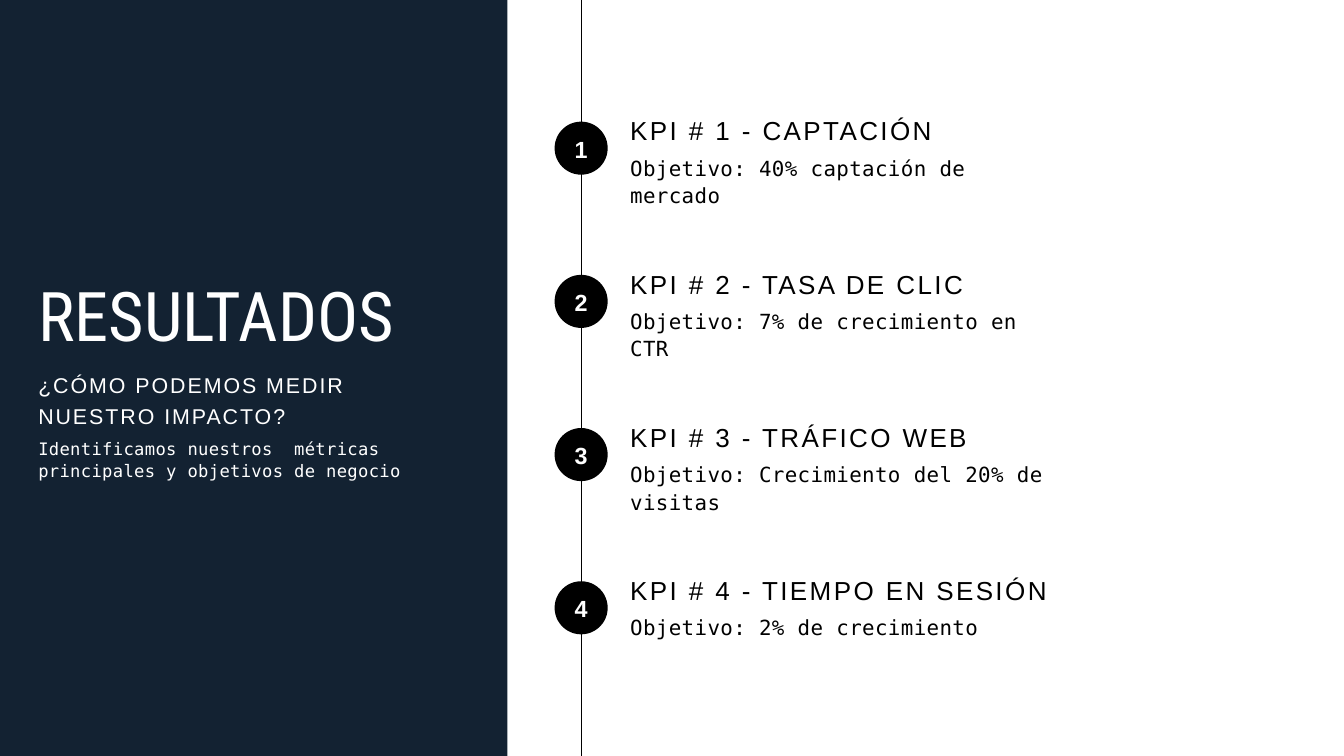
"""Build the results slide: a dark title panel beside a timeline of four KPIs."""
from lxml import etree
from pptx import Presentation
from pptx.dml.color import RGBColor
from pptx.enum.shapes import MSO_CONNECTOR, MSO_SHAPE
from pptx.enum.text import MSO_ANCHOR, MSO_AUTO_SIZE, PP_ALIGN
from pptx.oxml.ns import qn
from pptx.util import Pt

STRAIGHT = MSO_CONNECTOR.STRAIGHT
RECTANGLE, OVAL = MSO_SHAPE.RECTANGLE, MSO_SHAPE.OVAL
TOP, MIDDLE = MSO_ANCHOR.TOP, MSO_ANCHOR.MIDDLE
LEFT, CENTER = PP_ALIGN.LEFT, PP_ALIGN.CENTER
FIXED, GROW = MSO_AUTO_SIZE.NONE, MSO_AUTO_SIZE.SHAPE_TO_FIT_TEXT

TITLE = "RESULTADOS"
QUESTION = "¿CÓMO PODEMOS MEDIR NUESTRO IMPACTO?"
SUMMARY = "Identificamos nuestros  métricas principales y objetivos de negocio"
KPIS = [
    ("KPI # 1 - CAPTACIÓN", "Objetivo: 40% captación de mercado"),
    ("KPI # 2 - TASA DE CLIC", "Objetivo: 7% de crecimiento en CTR"),
    ("KPI # 3 - TRÁFICO WEB", "Objetivo: Crecimiento del 20% de visitas"),
    ("KPI # 4 - TIEMPO EN SESIÓN", "Objetivo: 2% de crecimiento"),
]

NAVY, BLACK, WHITE = (RGBColor.from_string(c) for c in ("132232", "000000", "FFFFFF"))
SANS, MONO, CONDENSED = "Arial", "DejaVu Sans Mono", "Roboto Condensed"
THEME = {
    "panel": NAVY,
    "timeline": BLACK,
    "title": {"font": {"name": CONDENSED, "size": Pt(73.4)}, "color": WHITE,
              "leading": 84.4, "tracking": 0},
    "question": {"font": {"name": SANS, "size": Pt(22.9)}, "color": WHITE,
                 "leading": 33.3, "tracking": 2.1},
    "summary": {"font": {"name": MONO, "size": Pt(18.4)}, "color": WHITE,
                "leading": 24, "tracking": 0.4},
    "number": {"font": {"name": SANS, "size": Pt(25), "bold": True}, "color": WHITE,
               "leading": 36.2, "tracking": 2.3},
    "heading": {"font": {"name": SANS, "size": Pt(27.9)}, "color": BLACK,
                "leading": 40.5, "tracking": 2.6},
    "goal": {"font": {"name": MONO, "size": Pt(22.3)}, "color": BLACK,
             "leading": 29.2, "tracking": 0.4},
}

WIDTH, HEIGHT = 1440, 810
PANEL_WIDTH = 543.6
PANEL_TEXT_LEFT = 41
TIMELINE_X = 622.4
DISC = 56.9
DISC_LEFT = 594.2
KPI_LEFT = 675.2
FIRST_TOP, KPI_STEP = 116, 164.16


def add_shape(slide, kind, color, left, top, width, height):
    shape = slide.shapes.add_shape(kind, Pt(left), Pt(top), Pt(width), Pt(height))
    shape.shadow.inherit = False
    shape.fill.solid()
    shape.fill.fore_color.rgb = color
    shape.line.fill.background()


def add_text(slide, text, style, left, top, width, height,
             inset=0, anchor=TOP, align=LEFT, fit=GROW):
    box = slide.shapes.add_textbox(Pt(left), Pt(top), Pt(width), Pt(height))
    frame = box.text_frame
    margins = {f"margin_{side}": Pt(inset) for side in ("left", "top", "right", "bottom")}
    layout = {"word_wrap": True, "auto_size": fit, "vertical_anchor": anchor}
    for name, value in {**margins, **layout}.items():
        setattr(frame, name, value)
    para = frame.paragraphs[0]
    para.alignment = align
    para.line_spacing = Pt(style["leading"])
    span = para.add_run()
    span.text = text
    for name, value in style["font"].items():
        setattr(span.font, name, value)
    span.font.color.rgb = style["color"]
    if style["tracking"]:
        span._r.get_or_add_rPr().set("spc", str(round(style["tracking"] * 100)))


def add_panel(slide):
    add_shape(slide, RECTANGLE, THEME["panel"], 0, 0, PANEL_WIDTH, HEIGHT)
    for text, style, top, width, height in (
        (TITLE, "title", 296.6, 461.5, 85.7),
        (QUESTION, "question", 392.4, 416.2, 64.1),
        (SUMMARY, "summary", 467.3, 461.5, 48.2),
    ):
        add_text(slide, text, THEME[style], PANEL_TEXT_LEFT, top, width, height)


def add_timeline(slide):
    line = slide.shapes.add_connector(
        STRAIGHT, Pt(TIMELINE_X), Pt(HEIGHT), Pt(TIMELINE_X), Pt(0))
    line.line.color.rgb = THEME["timeline"]
    line.line.width = Pt(0.75)
    etree.SubElement(line._element.spPr, qn("a:effectLst"))
    for index, (heading, goal) in enumerate(KPIS):
        top = FIRST_TOP + index * KPI_STEP
        add_shape(slide, OVAL, THEME["timeline"], DISC_LEFT, top + 14.3, DISC, DISC)
        add_text(slide, str(index + 1), THEME["number"], DISC_LEFT + 5.5, top + 15, 46, 51,
                 inset=4, anchor=MIDDLE, align=CENTER, fit=FIXED)
        add_text(slide, heading, THEME["heading"], KPI_LEFT, top, 710.6, 38.9)
        add_text(slide, goal, THEME["goal"], KPI_LEFT, top + 48.2, 465.8, 32.4)


def main():
    deck = Presentation()
    deck.slide_width, deck.slide_height = Pt(WIDTH), Pt(HEIGHT)
    page = deck.slides.add_slide(deck.slide_layouts[6])
    add_panel(page)
    add_timeline(page)
    deck.save("out.pptx")


if __name__ == "__main__":
    main()
